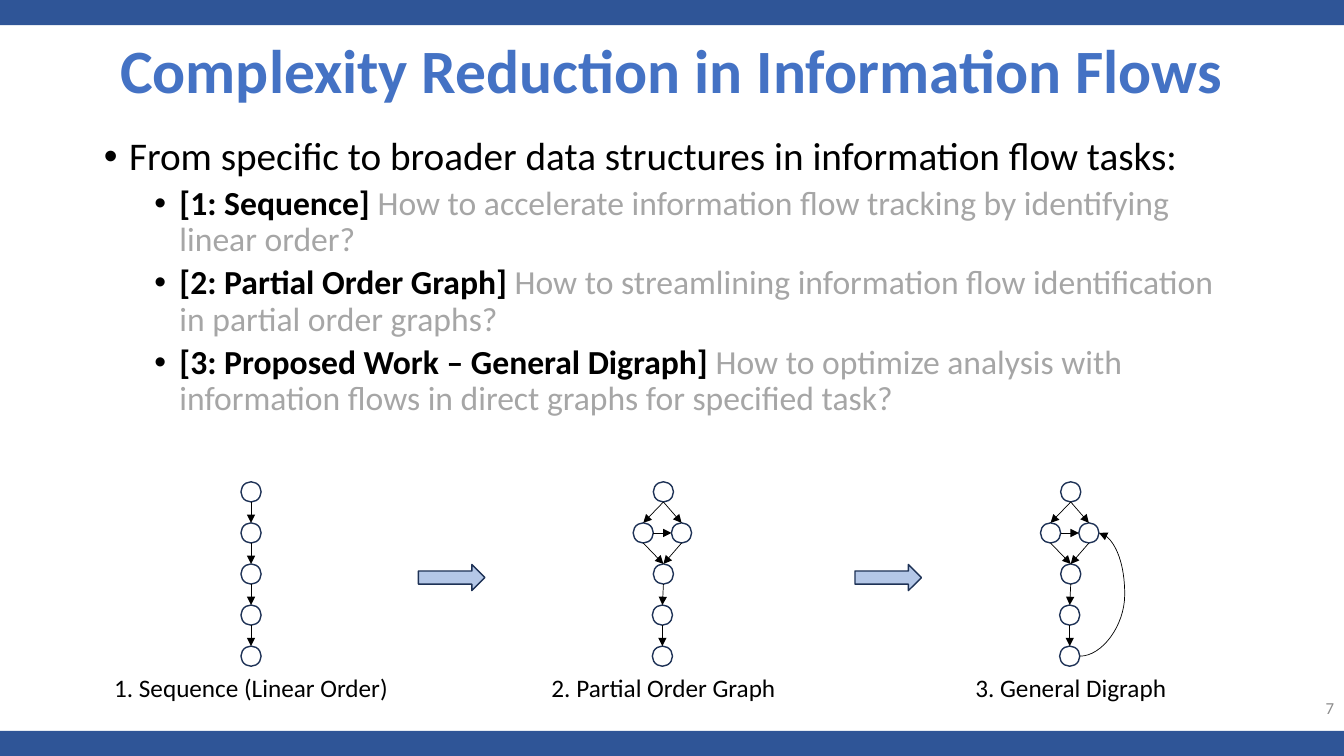
from lxml import etree
from pptx import Presentation
from pptx.dml.color import RGBColor
from pptx.enum.shapes import MSO_CONNECTOR, MSO_SHAPE
from pptx.enum.text import MSO_ANCHOR, MSO_AUTO_SIZE, PP_ALIGN
from pptx.oxml.ns import qn
from pptx.util import Inches, Pt

RECT, OVAL, ARROW = MSO_SHAPE.RECTANGLE, MSO_SHAPE.OVAL, MSO_SHAPE.RIGHT_ARROW
STRAIGHT, CURVE = MSO_CONNECTOR.STRAIGHT, MSO_CONNECTOR.CURVE
LEFT, CENTER, RIGHT = PP_ALIGN.LEFT, PP_ALIGN.CENTER, PP_ALIGN.RIGHT

TITLE = "Complexity Reduction in Information Flows"
INTRO = "From specific to broader data structures in information flow tasks:"
QUESTIONS = [
    ("[1: Sequence] ",
     "How to accelerate information flow tracking by identifying linear order?"),
    ("[2: Partial Order Graph] ",
     "How to streamlining information flow identification in partial order graphs?"),
    ("[3: Proposed Work – General Digraph] ",
     "How to optimize analysis with information flows in direct graphs for specified task?"),
]
PAGE = "7"

# Nodes: name -> (offset from the graph's axis in inches, row)
CHAIN = {name: (0, row) for row, name in enumerate("abcde")}
CHAIN_EDGES = ["ab", "bc", "cd", "de"]
DIAMOND = {"a": (0, 0), "l": (-0.2, 1), "r": (0.18, 1),
           "c": (0, 2), "d": (-0.01, 3), "e": (-0.01, 4)}
DIAMOND_EDGES = ["al", "ar", "lr", "lc", "rc", "cd", "de"]
# Caption, axis, caption width, nodes, edges, feedback edge
GRAPHS = [
    ("1. Sequence (Linear Order)", 2.49, 2.95, CHAIN, CHAIN_EDGES, None),
    ("2. Partial Order Graph", 6.58, 2.45, DIAMOND, DIAMOND_EDGES, None),
    ("3. General Digraph", 10.62, 2.12, DIAMOND, DIAMOND_EDGES, "er"),
]
STEP_ARROWS = [4.15, 8.48]

COLORS = {"bar": "2F5597", "title": "4472C4", "text": "000000", "muted": "A6A6A6",
          "page": "8C8C8C", "outline": "1E3256", "arrow": "B4C7E7"}
FONT = "Calibri"
WIDTH, HEIGHT, BAR = 13.33, 7.5, 0.25
FIRST_ROW, LAST_ROW, NODE = 4.88, 6.51, 0.2
ROW_STEP = (LAST_ROW - FIRST_ROW) / 4
CAPTION_TOP, LABEL_HEIGHT = 6.62, 0.4
FEEDBACK_BULGE = 234300


def rgb(name):
    return RGBColor.from_string(COLORS[name])


def place(shape, left, top, width, height):
    shape.left, shape.top = Inches(left), Inches(top)
    shape.width, shape.height = Inches(width), Inches(height)


def write(paragraph, text, size, color="text", bold=False, align=LEFT):
    paragraph.alignment = align
    run = paragraph.add_run()
    run.text = text
    run.font.name, run.font.size, run.font.bold = FONT, Pt(size), bold
    run.font.color.rgb = rgb(color)


def bullet(paragraph, level, indent, before):
    paragraph.level = level
    paragraph.line_spacing, paragraph.space_before = 0.9, Pt(before)
    props = paragraph._p.get_or_add_pPr()
    props.set("marL", str(Inches(indent)))
    props.set("indent", str(Inches(-0.25)))
    etree.SubElement(props, qn("a:buFont")).set("typeface", "Arial")
    etree.SubElement(props, qn("a:buChar")).set("char", "•")


def add_block(slide, kind, box, fill=None, outline=None):
    block = slide.shapes.add_shape(kind, *map(Inches, box))
    block.shadow.inherit = False
    if fill:
        block.fill.solid()
        block.fill.fore_color.rgb = rgb(fill)
    else:
        block.fill.background()
    if outline:
        block.line.color.rgb = rgb(outline)
        block.line.width = Pt(1)
    else:
        block.line.fill.background()
    return block


def add_label(slide, text, box, size, wrap=True, anchor=MSO_ANCHOR.TOP, **style):
    label = slide.shapes.add_textbox(*map(Inches, box))
    frame = label.text_frame
    frame.word_wrap, frame.vertical_anchor = wrap, anchor
    if not wrap:
        frame.auto_size = MSO_AUTO_SIZE.SHAPE_TO_FIT_TEXT
    write(frame.paragraphs[0], text, size, **style)


def add_edge(slide, kind, start, end):
    edge = slide.shapes.add_connector(kind, *map(Inches, (*start, *end)))
    edge.line.color.rgb = rgb("text")
    edge.line.width = Pt(0.5)
    etree.SubElement(edge.line._get_or_add_ln(), qn("a:tailEnd")).set("type", "triangle")
    etree.SubElement(edge._element.spPr, qn("a:effectLst"))
    return edge


def add_graph(slide, axis, nodes, edges, feedback):
    half = NODE / 2
    centers = {name: (axis + dx, FIRST_ROW + row * ROW_STEP)
               for name, (dx, row) in nodes.items()}
    circles = {name: add_block(slide, OVAL, (x - half, y - half, NODE, NODE),
                               outline="outline")
               for name, (x, y) in centers.items()}
    for source, target in edges:
        (x1, y1), (x2, y2) = centers[source], centers[target]
        if y1 == y2:
            add_edge(slide, STRAIGHT, (x1 + half, y1), (x2 - half, y2))
        else:
            edge = add_edge(slide, STRAIGHT, (x1, y1 + half), (x2, y2 - half))
            edge.end_connect(circles[target], 0)
    if feedback:
        (x1, y1), (x2, y2) = (centers[name] for name in feedback)
        curve = add_edge(slide, CURVE, (x1 + half, y1), (x2 + half, y2))
        adjustments = curve._element.spPr.find(qn("a:prstGeom")).get_or_add_avLst()
        guide = etree.SubElement(adjustments, qn("a:gd"))
        guide.set("name", "adj1")
        guide.set("fmla", f"val {FEEDBACK_BULGE}")


def main():
    prs = Presentation()
    prs.slide_width, prs.slide_height = Inches(WIDTH), Inches(HEIGHT)
    slide = prs.slides.add_slide(prs.slide_layouts[1])

    for top in (0, HEIGHT - BAR):
        add_block(slide, RECT, (0, top, WIDTH, BAR), fill="bar")

    title, body = slide.placeholders
    place(title, 0, 0, WIDTH, 1.46)
    title.text_frame.vertical_anchor = MSO_ANCHOR.MIDDLE
    heading = title.text_frame.paragraphs[0]
    heading.line_spacing = 0.9
    write(heading, TITLE, 44, color="title", bold=True, align=CENTER)

    place(body, 0.93, 1.31, 11.5, 3.45)
    intro = body.text_frame.paragraphs[0]
    bullet(intro, 0, 0.25, 10)
    write(intro, INTRO, 28)
    for topic, question in QUESTIONS:
        item = body.text_frame.add_paragraph()
        bullet(item, 1, 0.75, 5)
        write(item, topic, 24, bold=True)
        write(item, question, 24, color="muted")

    for caption, axis, width, nodes, edges, feedback in GRAPHS:
        add_graph(slide, axis, nodes, edges, feedback)
        add_label(slide, caption, (axis - width / 2, CAPTION_TOP, width, LABEL_HEIGHT),
                  18, wrap=False, align=CENTER)
    for left in STEP_ARROWS:
        add_block(slide, ARROW, (left, 5.6, 0.66, 0.26), fill="arrow", outline="outline")

    add_label(slide, PAGE, (WIDTH - 3, 6.82, 3, LABEL_HEIGHT), 12,
              anchor=MSO_ANCHOR.MIDDLE, color="page", align=RIGHT)
    prs.save("out.pptx")


if __name__ == "__main__":
    main()
